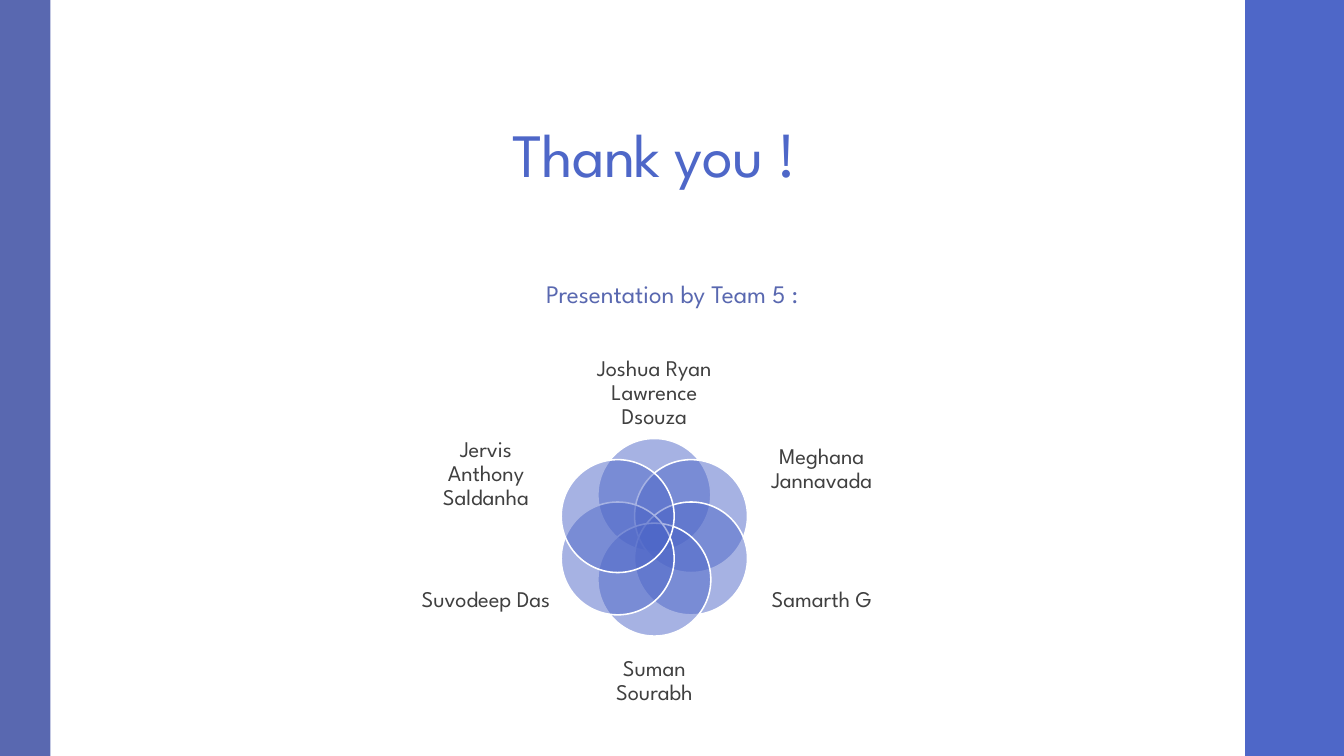
from dataclasses import dataclass
from math import cos, radians, sin

from lxml import etree
from pptx import Presentation
from pptx.dml.color import RGBColor
from pptx.enum.shapes import MSO_SHAPE
from pptx.enum.text import MSO_ANCHOR, PP_ALIGN
from pptx.oxml.ns import qn
from pptx.util import Inches, Pt

RECTANGLE, OVAL = MSO_SHAPE.RECTANGLE, MSO_SHAPE.OVAL
TOP, MIDDLE = MSO_ANCHOR.TOP, MSO_ANCHOR.MIDDLE
CENTER, RIGHT = PP_ALIGN.CENTER, PP_ALIGN.RIGHT

FONT = "League Spartan"
BLUE, SLATE, GREY, WHITE = "4E67C8", "5968B0", "404040", "FFFFFF"
FLOWER_X, FLOWER_Y, FLOWER_RADIUS, PETAL_SIZE = 6.49, 5.33, 0.42, 1.12


@dataclass(frozen=True)
class Box:
    left: float
    top: float
    width: float
    height: float

    def lengths(self) -> list:
        return [Inches(v) for v in (self.left, self.top, self.width, self.height)]


@dataclass(frozen=True)
class Style:
    size: float
    color: str
    align: PP_ALIGN = CENTER
    anchor: MSO_ANCHOR = TOP
    spacing: float = 0.9
    insets: tuple = (0, 0, 0, 0)


@dataclass(frozen=True)
class Member:
    name: str
    box: Box


BANDS = [(Box(12.35, 0, 1, 7.5), BLUE), (Box(0, 0, 0.5, 7.5), SLATE)]
TITLE = Style(44, BLUE, insets=(0.1, 0.03, 0.1, 0.05))
SUBTITLE = Style(18, SLATE, RIGHT, spacing=1.0, insets=(0.1, 0.05, 0.1, 0.05))
NAME = Style(16, GREY, anchor=MIDDLE)
MEMBERS = [
    Member("Joshua Ryan Lawrence Dsouza", Box(5.79, 3.52, 1.4, 0.76)),
    Member("Meghana Jannavada", Box(7.49, 4.24, 1.32, 0.83)),
    Member("Samarth G", Box(7.49, 5.49, 1.32, 0.93)),
    Member("Suman Sourabh", Box(5.79, 6.38, 1.4, 0.76)),
    Member("Suvodeep Das", Box(4.16, 5.49, 1.32, 0.93)),
    Member("Jervis Anthony Saldanha", Box(4.16, 4.24, 1.32, 0.93)),
]


def rgb(value: str) -> RGBColor:
    return RGBColor.from_string(value)


def add_filled(shapes, kind: MSO_SHAPE, box: Box, color: str):
    shape = shapes.add_shape(kind, *box.lengths())
    shape.shadow.inherit = False
    shape.fill.solid()
    shape.fill.fore_color.rgb = rgb(color)
    shape.line.fill.background()
    return shape


def add_petal(shapes, angle: float) -> None:
    left = FLOWER_X + FLOWER_RADIUS * sin(radians(angle)) - PETAL_SIZE / 2
    top = FLOWER_Y - FLOWER_RADIUS * cos(radians(angle)) - PETAL_SIZE / 2
    petal = add_filled(shapes, OVAL, Box(left, top, PETAL_SIZE, PETAL_SIZE), BLUE)
    petal.line.color.rgb = rgb(WHITE)
    petal.line.width = Pt(1.1)
    fill_color = petal.fill._xPr.find(qn("a:solidFill"))[0]
    etree.SubElement(fill_color, qn("a:alpha"), val="50000")


def add_text(shapes, text: str, box: Box, style: Style):
    frame = shapes.add_textbox(*box.lengths()).text_frame
    left, top, right, bottom = (Inches(v) for v in style.insets)
    frame_format = {
        "word_wrap": True,
        "vertical_anchor": style.anchor,
        "margin_left": left,
        "margin_top": top,
        "margin_right": right,
        "margin_bottom": bottom,
    }
    for attribute, value in frame_format.items():
        setattr(frame, attribute, value)
    paragraph = frame.paragraphs[0]
    paragraph.alignment = style.align
    paragraph.line_spacing = style.spacing
    run = paragraph.add_run()
    run.text = text
    for attribute, value in {"name": FONT, "size": Pt(style.size)}.items():
        setattr(run.font, attribute, value)
    run.font.color.rgb = rgb(style.color)
    return run


def main() -> None:
    deck = Presentation()
    deck.slide_width, deck.slide_height = Inches(13.33), Inches(7.5)
    slide = deck.slides.add_slide(deck.slide_layouts[6])
    slide.background.fill.solid()
    slide.background.fill.fore_color.rgb = rgb(WHITE)

    for box, color in BANDS:
        add_filled(slide.shapes, RECTANGLE, box, color)
    thanks = add_text(slide.shapes, "Thank you !", Box(0.74, 1.2, 11.5, 0.89), TITLE)
    thanks.font._element.set("spc", "-50")
    add_text(slide.shapes, "Presentation by Team 5 : ", Box(4.9, 2.71, 3.18, 0.4), SUBTITLE)

    flower = slide.shapes.add_group_shape().shapes
    for index, member in enumerate(MEMBERS):
        add_petal(flower, index * 360 / len(MEMBERS))
        add_text(flower, member.name, member.box, NAME)

    deck.save("out.pptx")


if __name__ == "__main__":
    main()
